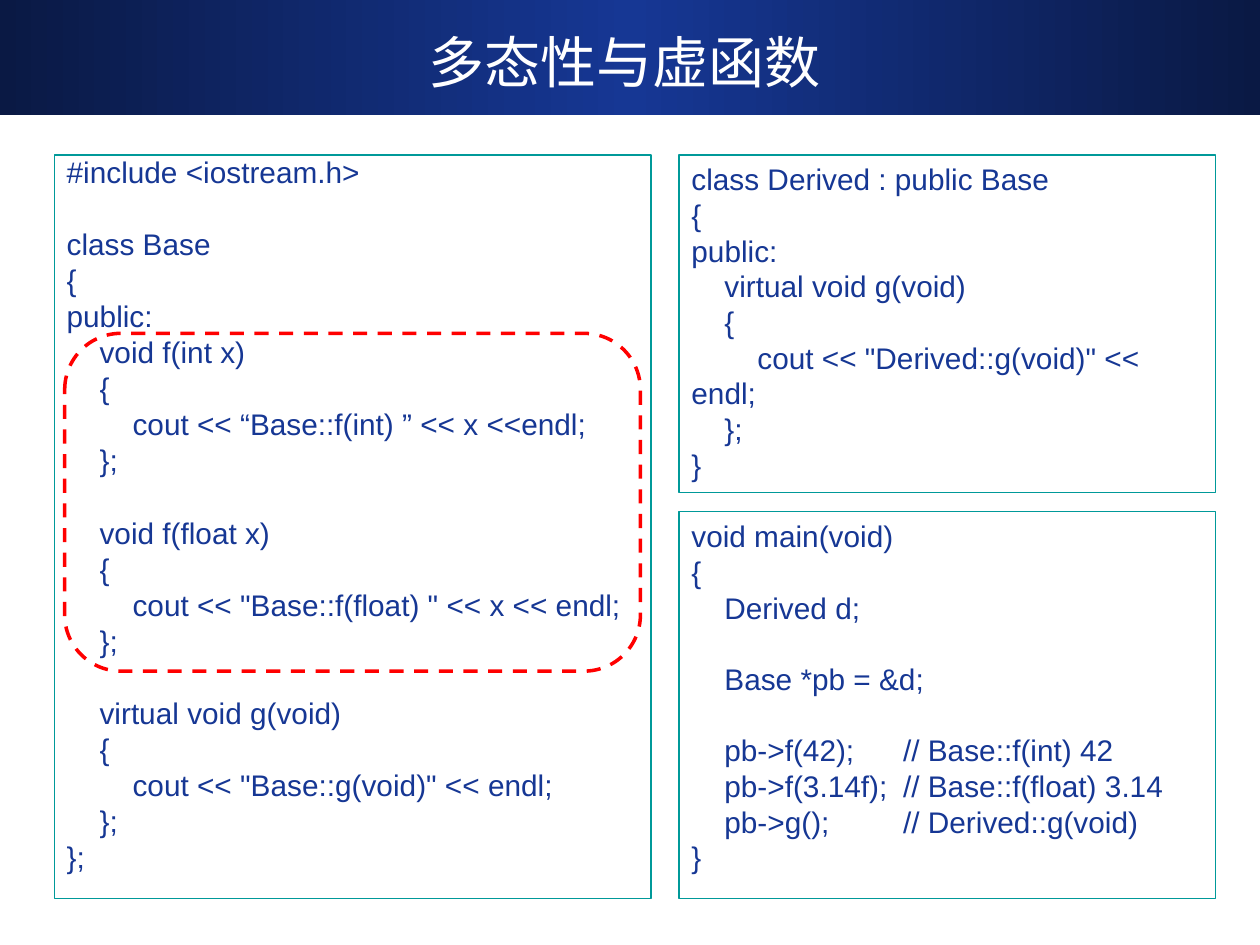
from copy import deepcopy

from lxml.etree import SubElement
from pptx import Presentation
from pptx.dml.color import RGBColor
from pptx.enum.dml import MSO_LINE
from pptx.enum.shapes import MSO_SHAPE
from pptx.enum.text import MSO_ANCHOR, PP_ALIGN
from pptx.oxml.ns import qn
from pptx.util import Pt

NAVY, DARK_NAVY, TEAL, RED, WHITE = "163794", "0A1944", "009999", "FF0000", "FFFFFF"
COMMENT_COLUMN = 121

BASE_CODE = """#include <iostream.h>

class Base
{
public:
    void f(int x)
    {
        cout << “Base::f(int) ” << x <<endl;
    };

    void f(float x)
    {
        cout << "Base::f(float) " << x << endl;
    };

    virtual void g(void)
    {
        cout << "Base::g(void)" << endl;
    };
};"""

DERIVED_CODE = """class Derived : public Base
{
public:
    virtual void g(void)
    {
        cout << "Derived::g(void)" << endl;
    };
}"""

MAIN_CODE = """void main(void)
{
    Derived d;

    Base *pb = &d;

    pb->f(42);\t// Base::f(int) 42
    pb->f(3.14f);\t// Base::f(float) 3.14
    pb->g();\t// Derived::g(void)
}"""


def color(value):
    return RGBColor.from_string(value)


def apply_format(target, values):
    for name, value in values.items():
        setattr(target, name, value)


def add_text(paragraph, text, font_name, size, text_color):
    run = paragraph.add_run()
    run.text = text
    apply_format(run.font, {"name": font_name, "size": Pt(size)})
    run.font.color.rgb = color(text_color)


def add_outline(slide, kind, box, line_color, width):
    shape = slide.shapes.add_shape(kind, *map(Pt, box))
    shape.shadow.inherit = False
    shape.fill.background()
    shape.line.color.rgb = color(line_color)
    shape.line.width = Pt(width)
    return shape


def add_title_band(slide, width, height):
    band = slide.shapes.add_shape(MSO_SHAPE.RECTANGLE, 0, 0, Pt(width), Pt(height))
    band.shadow.inherit = False
    band.line.fill.background()
    band.fill.gradient()
    band.fill.gradient_angle = 0
    # Extend the two default stops to three
    stop_list = band.fill._fill._gradFill.gsLst
    stop_list.append(deepcopy(stop_list[-1]))
    stops = zip(band.fill.gradient_stops, (0, 0.5, 1), (DARK_NAVY, NAVY, DARK_NAVY))
    for stop, position, stop_color in stops:
        stop.position = position
        stop.color.rgb = color(stop_color)


def add_title(slide, text, box):
    frame = slide.shapes.add_textbox(*map(Pt, box)).text_frame
    apply_format(frame, {"word_wrap": True, "vertical_anchor": MSO_ANCHOR.MIDDLE})
    paragraph = frame.paragraphs[0]
    paragraph.alignment = PP_ALIGN.CENTER
    add_text(paragraph, text, "DejaVu Sans", 32, WHITE)


def add_comment_tab(paragraph):
    tab_list = SubElement(paragraph._p.get_or_add_pPr(), qn("a:tabLst"))
    SubElement(tab_list, qn("a:tab"), pos=str(Pt(COMMENT_COLUMN)), algn="l")


def add_code_box(slide, code, box, line_height, gap=0):
    shape = add_outline(slide, MSO_SHAPE.RECTANGLE, box, TEAL, 0.75)
    frame = shape.text_frame
    apply_format(frame, {"word_wrap": True, "vertical_anchor": MSO_ANCHOR.TOP})
    paragraph = frame.paragraphs[0]
    space_before = 0
    for number, line in enumerate(code.splitlines()):
        if number:
            space_before += gap
        if not line:
            # An empty code line becomes space above the next one
            space_before += line_height
            continue
        if number:
            paragraph = frame.add_paragraph()
        if "\t" in line:
            add_comment_tab(paragraph)
        apply_format(paragraph, {
            "alignment": PP_ALIGN.LEFT,
            "line_spacing": Pt(line_height),
            "space_before": Pt(space_before),
        })
        add_text(paragraph, line, "Arial", 17, NAVY)
        space_before = 0


def main():
    presentation = Presentation()
    apply_format(presentation, {"slide_width": Pt(720), "slide_height": Pt(540)})
    slide = presentation.slides.add_slide(presentation.slide_layouts[6])

    # Title
    add_title_band(slide, 720, 65.5)
    add_title(slide, "多态性与虚函数", (24, 12.5, 666, 44.5))

    # Code boxes
    top, right_column, right_width = 88.5, 388, 306.5
    add_code_box(slide, BASE_CODE, (31, top, 341, 425), 16.4, gap=4.2)
    add_code_box(slide, DERIVED_CODE, (right_column, top, right_width, 193), 20.4)
    add_code_box(slide, MAIN_CODE, (right_column, 292.5, right_width, 221), 20.4)

    # Frame around the overloaded functions
    frame = add_outline(slide, MSO_SHAPE.ROUNDED_RECTANGLE, (37, 190.5, 329, 193), RED, 2)
    frame.line.dash_style = MSO_LINE.DASH

    presentation.save("out.pptx")


if __name__ == "__main__":
    main()
